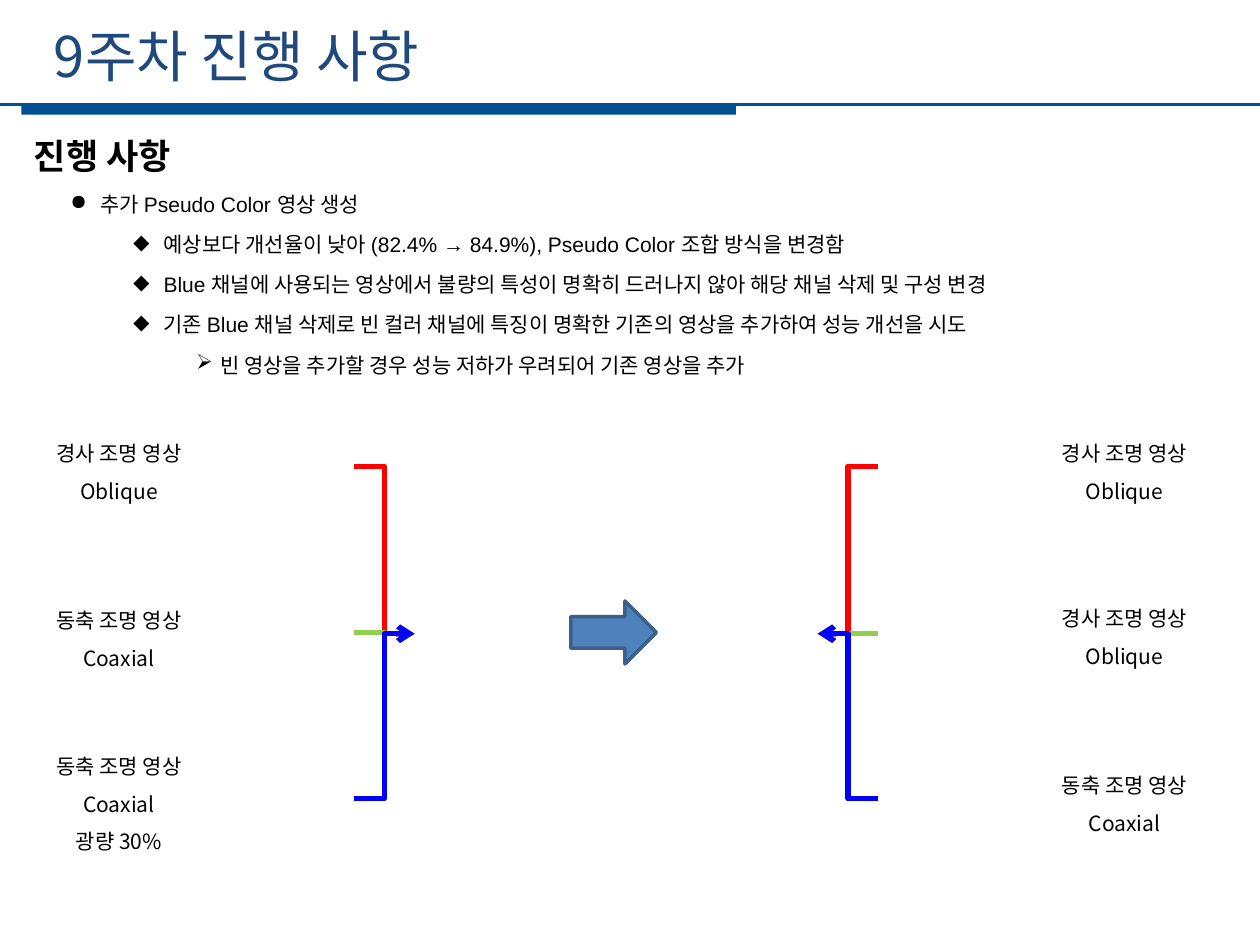
from dataclasses import dataclass

from lxml.etree import SubElement
from pptx import Presentation
from pptx.dml.color import RGBColor
from pptx.enum.shapes import MSO_CONNECTOR, MSO_SHAPE
from pptx.enum.text import MSO_AUTO_SIZE, PP_ALIGN
from pptx.oxml.ns import qn
from pptx.slide import Slide
from pptx.util import Inches, Pt

NAVY = RGBColor(0x1F, 0x49, 0x7D)
RULE_BLUE = RGBColor(0x00, 0x50, 0x94)
BLACK = RGBColor(0x00, 0x00, 0x00)
RED = RGBColor(0xFF, 0x00, 0x00)
GREEN = RGBColor(0x92, 0xD0, 0x50)
BLUE = RGBColor(0x00, 0x00, 0xFF)
ARROW_FILL = RGBColor(0x4F, 0x81, 0xBD)
ARROW_LINE = RGBColor(0x3A, 0x5F, 0x8C)
KOREAN_FONT = "Noto Sans CJK KR"
MERGE_Y = 5.03


@dataclass
class BodyLine:
    text: str
    level: int = 0
    bullet: str = ""
    margin: float = 0
    hanging: float = 0
    size: int = 12
    bold: bool = False


@dataclass
class Label:
    left: float
    top: float
    lines: list[str]


@dataclass
class Channel:
    start_x: float
    start_y: float
    end_x: float
    color: RGBColor


BODY = [
    BodyLine("진행 사항", size=20, bold=True),
    BodyLine("추가 Pseudo Color 영상 생성", 0, "●", 0.53, 0.24),
    BodyLine("예상보다 개선율이 낮아 (82.4% → 84.9%), Pseudo Color 조합 방식을 변경함",
             1, "◆", 1.03, 0.24),
    BodyLine("Blue 채널에 사용되는 영상에서 불량의 특성이 명확히 드러나지 않아 해당 채널 삭제 및 구성 변경",
             1, "◆", 1.03, 0.24),
    BodyLine("기존 Blue 채널 삭제로 빈 컬러 채널에 특징이 명확한 기존의 영상을 추가하여 성능 개선을 시도",
             1, "◆", 1.03, 0.24),
    BodyLine("빈 영상을 추가할 경우 성능 저하가 우려되어 기존 영상을 추가", 2, "➢", 1.48, 0.19),
]

OBLIQUE = ["경사 조명 영상", "Oblique"]
COAXIAL = ["동축 조명 영상", "Coaxial"]
LABELS = [
    Label(0.28, 3.35, OBLIQUE),
    Label(0.28, 4.67, COAXIAL),
    Label(0.28, 5.83, COAXIAL + ["광량 30%"]),
    Label(8.26, 3.35, OBLIQUE),
    Label(8.26, 4.66, OBLIQUE),
    Label(8.26, 5.98, COAXIAL),
]

CHANNELS = [
    Channel(2.81, 3.7, 3.29, RED),
    Channel(2.81, 5.02, 3.29, GREEN),
    Channel(2.81, 6.34, 3.29, BLUE),
    Channel(6.97, 3.7, 6.49, RED),
    Channel(6.97, MERGE_Y, 6.49, GREEN),
    Channel(6.97, 6.34, 6.49, BLUE),
]


def style_paragraph(paragraph, font_name: str, size: int, color: RGBColor, bold: bool = False) -> None:
    font = paragraph.font
    font.name = font_name
    font.size = Pt(size)
    font.bold = bold
    font.color.rgb = color
    defaults = paragraph._p.pPr.find(qn("a:defRPr"))
    SubElement(defaults, qn("a:ea"), typeface=KOREAN_FONT)


def add_frame(slide: Slide, left: float, top: float, width: float, height: float, wrap: bool = True):
    box = slide.shapes.add_textbox(Inches(left), Inches(top), Inches(width), Inches(height))
    frame = box.text_frame
    frame.word_wrap = wrap
    frame.auto_size = MSO_AUTO_SIZE.SHAPE_TO_FIT_TEXT
    return frame


def next_paragraph(frame, index: int):
    return frame.add_paragraph() if index else frame.paragraphs[0]


def add_title(slide: Slide, text: str) -> None:
    paragraph = add_frame(slide, 0.33, 0.12, 8.96, 0.64).paragraphs[0]
    paragraph.text = text
    style_paragraph(paragraph, KOREAN_FONT, 32, NAVY)


def add_body(slide: Slide, lines: list[BodyLine]) -> None:
    frame = add_frame(slide, 0.17, 1.03, 9.52, 1.99)
    for index, line in enumerate(lines):
        paragraph = next_paragraph(frame, index)
        paragraph.text = line.text
        paragraph.level = line.level
        paragraph.line_spacing = Pt(23)
        if line.bullet:
            properties = paragraph._p.get_or_add_pPr()
            properties.set("marL", str(Inches(line.margin)))
            properties.set("indent", str(-Inches(line.hanging)))
            SubElement(properties, qn("a:buChar"), char=line.bullet)
        style_paragraph(paragraph, "Arial", line.size, BLACK, line.bold)


def add_label(slide: Slide, label: Label) -> None:
    height = 0.11 + 0.3 * len(label.lines)
    frame = add_frame(slide, label.left, label.top, 1.33, height, wrap=False)
    for index, text in enumerate(label.lines):
        paragraph = next_paragraph(frame, index)
        paragraph.text = text
        paragraph.alignment = PP_ALIGN.CENTER
        paragraph.line_spacing = 1.5
        style_paragraph(paragraph, KOREAN_FONT, 12, BLACK)


def add_line(slide: Slide, kind: MSO_CONNECTOR, start: tuple[float, float],
             end: tuple[float, float], color: RGBColor, width: float):
    connector = slide.shapes.add_connector(kind, *map(Inches, start + end))
    connector.line.color.rgb = color
    connector.line.width = Pt(width)
    SubElement(connector._element.spPr, qn("a:effectLst"))
    return connector


def add_channel(slide: Slide, channel: Channel) -> None:
    connector = add_line(slide, MSO_CONNECTOR.ELBOW, (channel.start_x, channel.start_y),
                         (channel.end_x, MERGE_Y), channel.color, 3)
    SubElement(connector.line._get_or_add_ln(), qn("a:tailEnd"), type="arrow")


def add_filled_shape(slide: Slide, kind: MSO_SHAPE, left: float, top: float,
                     width: float, height: float, color: RGBColor):
    shape = slide.shapes.add_shape(kind, Inches(left), Inches(top), Inches(width), Inches(height))
    shape.shadow.inherit = False
    shape.fill.solid()
    shape.fill.fore_color.rgb = color
    shape.line.fill.background()
    return shape


def main() -> None:
    presentation = Presentation()
    presentation.slide_width = Inches(10)
    presentation.slide_height = Inches(7.5)
    slide = presentation.slides.add_slide(presentation.slide_layouts[6])

    add_filled_shape(slide, MSO_SHAPE.RECTANGLE, 0.17, 0.83, 5.67, 0.08, RULE_BLUE)
    add_line(slide, MSO_CONNECTOR.STRAIGHT, (0, 0.83), (10, 0.83), RULE_BLUE, 1.25)
    add_title(slide, "9주차 진행 사항")
    add_body(slide, BODY)
    for label in LABELS:
        add_label(slide, label)
    for channel in CHANNELS:
        add_channel(slide, channel)
    arrow = add_filled_shape(slide, MSO_SHAPE.RIGHT_ARROW, 4.53, 4.77, 0.68, 0.5, ARROW_FILL)
    arrow.line.color.rgb = ARROW_LINE
    arrow.line.width = Pt(2)
    presentation.save("out.pptx")


if __name__ == "__main__":
    main()
